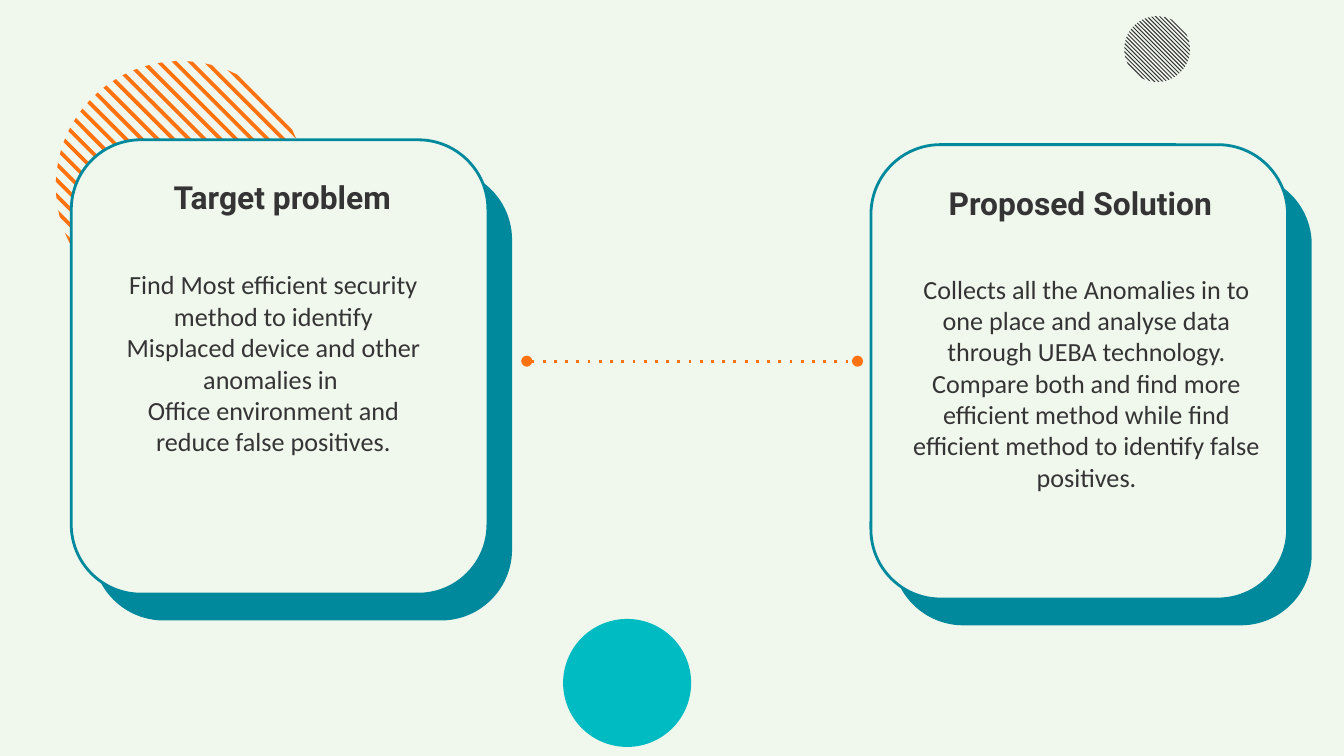
"""Build a slide that pairs a target problem with its proposed solution."""
import math

import lxml.etree
import pptx
import pptx.dml.color
import pptx.enum.shapes
import pptx.enum.text
import pptx.oxml.ns
import pptx.util

COLORS = {
    "mint": "F0F7ED",
    "ink": "343434",
    "teal": "00899D",
    "aqua": "00BBC1",
    "orange": "FF7210",
}
HEADING = {"name": "Roboto", "size": pptx.util.Pt(17), "bold": True}
BODY = {"name": "Calibri", "size": pptx.util.Pt(14), "bold": False}
FRAME = {
    "word_wrap": True,
    "auto_size": pptx.enum.text.MSO_AUTO_SIZE.NONE,
    "vertical_anchor": pptx.enum.text.MSO_ANCHOR.TOP,
    "margin_left": pptx.util.Pt(7.2),
    "margin_top": pptx.util.Pt(7.2),
    "margin_right": pptx.util.Pt(7.2),
    "margin_bottom": pptx.util.Pt(7.2),
}
PARAGRAPH = {
    "alignment": pptx.enum.text.PP_ALIGN.CENTER,
    "space_before": pptx.util.Pt(0),
    "line_spacing": 1.0,
}
COLUMNS = [
    {
        "card": (38.2, 74.9),
        "heading": ("Target problem", (70.6, 87.8, 161.3, 28.8)),
        "body": (
            [
                "Find Most efficient security method to identify "
                "Misplaced device and other anomalies in ",
                "Office environment and reduce false positives.",
            ],
            (56.9, 136.8, 179.3, 139.7),
        ),
    },
    {
        "card": (466.6, 77.5),
        "heading": ("Proposed Solution", (498.2, 91.4, 161.3, 28.8)),
        "body": (
            [
                "Collects all the Anomalies in to one place and analyse data "
                "through UEBA technology. Compare both and find more efficient "
                "method while find efficient method to identify false positives."
            ],
            (478.8, 139, 206.6, 144),
        ),
    },
]


def rgb(name):
    """Return the named palette colour."""
    return pptx.dml.color.RGBColor.from_string(COLORS[name])


def apply(target, values):
    """Set each attribute in values on the target."""
    for name, value in values.items():
        setattr(target, name, value)


class SlideBuilder:
    """Hold the current slide and draw styled elements on it, in points."""

    def __init__(self, slide):
        """Keep the slide, paint its background and drop its title."""
        self.slide = slide
        self.shapes = slide.shapes
        slide.background.fill.solid()
        slide.background.fill.fore_color.rgb = rgb("mint")
        title = self.shapes.title.element
        title.getparent().remove(title)

    def paint(self, shape, fill, line=None):
        """Give a shape a flat fill and an optional outline."""
        shape.shadow.inherit = False
        shape.fill.solid()
        shape.fill.fore_color.rgb = rgb(fill)
        if line:
            shape.line.color.rgb = rgb(line)
            shape.line.width = pptx.util.Pt(1.5)
        else:
            shape.line.fill.background()

    def hatched_disc(self, center_x, center_y, radius, color, stripes=22):
        """Draw a disc made of equally spaced diagonal stripes."""
        group = self.shapes.add_group_shape()
        pitch, width = radius * 0.126, radius * 0.043
        for index in range(stripes):
            middle = ((stripes - 1) / 2 - index) * pitch
            corners = []
            for offset, sides in ((middle - width / 2, (-1, 1)), (middle + width / 2, (1, -1))):
                reach = math.sqrt(2 * radius**2 - offset**2)
                for side in sides:
                    x = center_x + (side * reach + offset) / 2
                    y = center_y + (side * reach - offset) / 2
                    corners.append((pptx.util.Pt(x), pptx.util.Pt(y)))
            outline = group.shapes.build_freeform(*corners[0])
            outline.add_line_segments(corners[1:], close=True)
            self.paint(outline.convert_to_shape(), color)

    def preset(self, kind, bounds, fill, line=None):
        """Draw a preset shape and return it."""
        shape = self.shapes.add_shape(kind, *map(pptx.util.Pt, bounds))
        self.paint(shape, fill, line)
        return shape

    def card(self, left, top):
        """Draw a rounded card over its solid offset backing."""
        rounded = pptx.enum.shapes.MSO_SHAPE.ROUNDED_RECTANGLE
        for bounds, fill in (
            ((left + 12.2, top + 16.3, 223.2, 240.5), "teal"),
            ((left, top, 223.2, 243.4), "mint"),
        ):
            self.preset(rounded, bounds, fill, "teal").adjustments[0] = 0.167

    def dotted_link(self, start_x, end_x, y):
        """Draw a horizontal dotted line with round ends."""
        link = self.shapes.add_connector(
            pptx.enum.shapes.MSO_CONNECTOR.STRAIGHT,
            *map(pptx.util.Pt, (start_x, y, end_x, y)),
        )
        link.line.color.rgb = rgb("orange")
        link.line.width = pptx.util.Pt(1.5)
        line = link.line._get_or_add_ln()
        qn = pptx.oxml.ns.qn
        for tag, attribute, value in (
            ("a:prstDash", "val", "dot"),
            ("a:headEnd", "type", "oval"),
            ("a:tailEnd", "type", "oval"),
        ):
            lxml.etree.SubElement(line, qn(tag)).set(attribute, value)
        lxml.etree.SubElement(link.element.spPr, qn("a:effectLst"))

    def text(self, index, paragraphs, bounds, style):
        """Place centred text in a placeholder, in front of the shapes."""
        box = next(item for item in self.slide.placeholders if item.placeholder_format.idx == index)
        sides = ("left", "top", "width", "height")
        apply(box, dict(zip(sides, map(pptx.util.Pt, bounds))))
        self.shapes._spTree.append(box.element)
        frame = box.text_frame
        apply(frame, FRAME)
        frame.text = "\n".join(paragraphs)
        for para in frame.paragraphs:
            properties = para._p.get_or_add_pPr()
            properties.set("marL", "0")
            properties.set("indent", "0")
            lxml.etree.SubElement(properties, pptx.oxml.ns.qn("a:buNone"))
            apply(para, PARAGRAPH)
            for span in para.runs:
                apply(span.font, style)
                span.font.color.rgb = rgb("ink")


def main():
    """Build and save the deck."""
    deck = pptx.Presentation()
    deck.slide_width, deck.slide_height = pptx.util.Pt(720), pptx.util.Pt(405)
    comparison = deck.slide_layouts.get_by_name("Comparison")
    page = SlideBuilder(deck.slides.add_slide(comparison))
    page.hatched_disc(619.9, 26.3, 17.6, "ink")
    page.preset(pptx.enum.shapes.MSO_SHAPE.OVAL, (301.7, 331.6, 68.6, 68.6), "aqua")
    page.hatched_disc(96.8, 99.6, 66.9, "orange")
    page.dotted_link(282.2, 459.4, 193.5)
    for number, column in enumerate(COLUMNS):
        page.card(*column["card"])
        heading, bounds = column["heading"]
        page.text(2 * number + 1, [heading], bounds, HEADING)
        page.text(2 * number + 2, *column["body"], BODY)
    deck.save("out.pptx")


if __name__ == "__main__":
    main()
